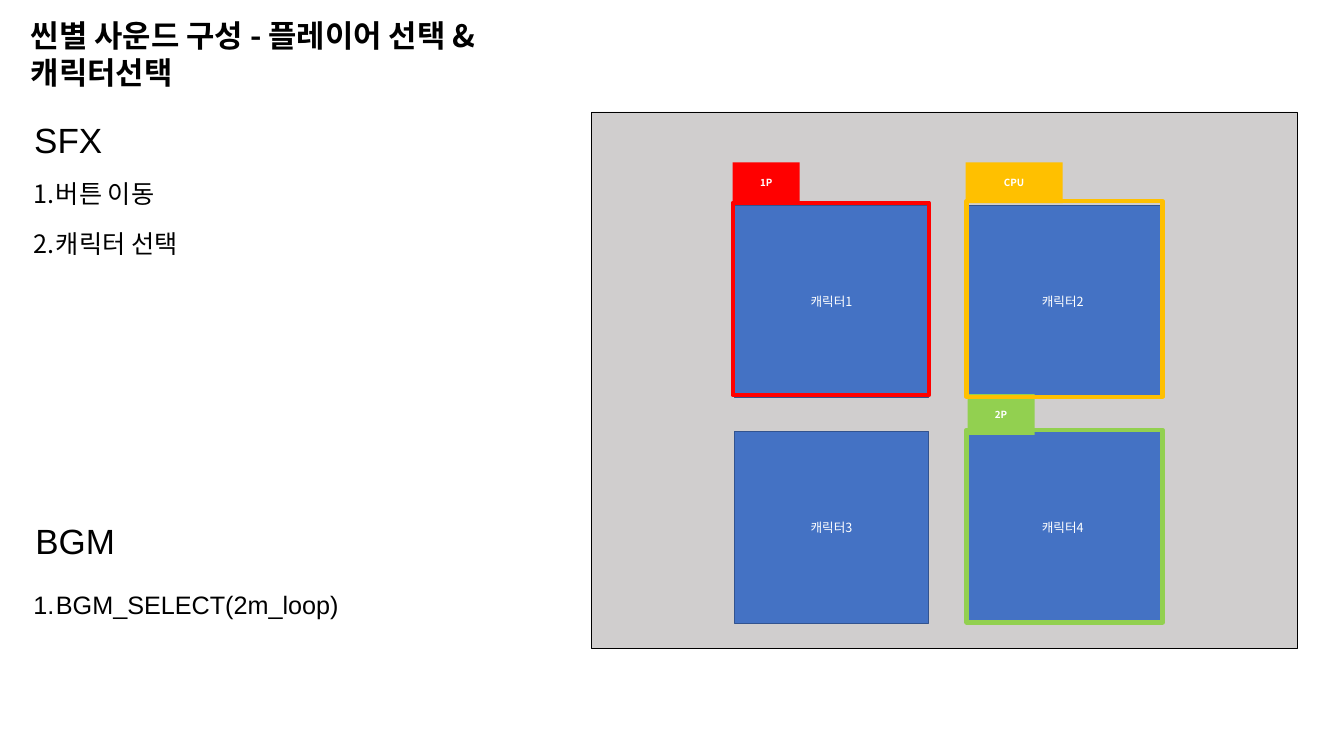
from itertools import product

from lxml.etree import SubElement
from pptx import Presentation
from pptx.dml.color import RGBColor
from pptx.enum.shapes import MSO_SHAPE as Shape
from pptx.enum.text import MSO_ANCHOR as Anchor, MSO_AUTO_SIZE as AutoSize, PP_ALIGN as Align
from pptx.oxml.ns import qn
from pptx.util import Inches, Pt

COLUMNS, ROWS = 26.67, 15
KOREAN, LATIN = "Noto Sans CJK KR", "Arial"
BLACK, WHITE, BLUE, NAVY, GREY = "000000", "FFFFFF", "4472C4", "32538F", "D0CECE"
RED, GREEN, AMBER = "FF0000", "92D050", "FFC000"


def color(value):
    """Turn a hex string into a colour."""
    return RGBColor.from_string(value)


def write(frame, lines, size, font=KOREAN, fill=BLACK, bold=False, align=Align.LEFT,
          anchor=Anchor.TOP, inset=0.06, spacing=None, numbered=False):
    """Fill a text frame with one formatted paragraph per line."""
    frame.word_wrap = True
    frame.vertical_anchor = anchor
    frame.margin_left = frame.margin_right = Inches(inset)
    frame.margin_top = frame.margin_bottom = Inches(inset)
    for index, line in enumerate(lines):
        paragraph = frame.add_paragraph() if index else frame.paragraphs[0]
        paragraph.alignment = align
        if spacing:
            paragraph.line_spacing = Pt(spacing)
        if numbered:
            properties = paragraph._p.get_or_add_pPr()
            properties.set("marL", str(Inches(0.45)))
            properties.set("indent", str(-Inches(0.45)))
            SubElement(properties, qn("a:buAutoNum"), type="arabicPeriod")
        run = paragraph.add_run()
        run.text = line
        run.font.size, run.font.bold, run.font.name = Pt(size), bold, font
        run.font.color.rgb = color(fill)
        SubElement(run._r.get_or_add_rPr(), qn("a:ea"), typeface=KOREAN)


class Board:
    """Draw styled elements on one slide, placed by columns and rows."""

    def __init__(self, presentation):
        """Add a blank slide and work out the grid cell."""
        self.slide = presentation.slides.add_slide(presentation.slide_layouts[6])
        self.cell = (presentation.slide_width / COLUMNS, presentation.slide_height / ROWS)

    def place(self, *box):
        """Turn columns and rows into slide lengths."""
        return [round(length * self.cell[index % 2]) for index, length in enumerate(box)]

    def text(self, box, *lines, **style):
        """Add a text box that grows with its lines."""
        frame = self.slide.shapes.add_textbox(*self.place(*box)).text_frame
        write(frame, lines, **style)
        frame.auto_size = AutoSize.SHAPE_TO_FIT_TEXT

    def heading(self, column, row, text):
        """Add a section heading."""
        self.text((column, row, 1.94, 0.9), text, size=50, font=LATIN, spacing=88)

    def numbers(self, row, width, height, *lines):
        """Add a numbered list."""
        self.text((0.6, row, width, height), *lines, size=36, font=LATIN, spacing=71,
                  numbered=True)

    def rectangle(self, box, fill=None, line=None, weight=1, label=None, size=18, bold=False):
        """Add a rectangle with an optional fill, outline and centred label."""
        shape = self.slide.shapes.add_shape(Shape.RECTANGLE, *self.place(*box))
        shape.shadow.inherit = False
        if fill:
            shape.fill.solid()
            shape.fill.fore_color.rgb = color(fill)
        else:
            shape.fill.background()
        if line:
            shape.line.color.rgb = color(line)
            shape.line.width = Pt(weight)
        else:
            shape.line.fill.background()
        if label:
            write(shape.text_frame, [label], size, fill=WHITE, bold=bold, inset=0.05,
                  align=Align.CENTER, anchor=Anchor.MIDDLE)

    def player(self, label, hue, frame, tab):
        """Add a selection frame and the tab that names its player."""
        self.rectangle(frame, line=hue, weight=6)
        self.rectangle(tab, fill=hue, label=label, size=14, bold=True)


def main():
    """Build the sound plan for the selection scene."""
    presentation = Presentation()
    presentation.slide_width, presentation.slide_height = Inches(COLUMNS), Inches(ROWS)
    board = Board(presentation)

    board.text((0.55, 0.28, 11.47, 0.89), "씬별 사운드 구성 - 플레이어 선택 & 캐릭터선택",
               size=44, bold=True)
    board.heading(0.62, 1.9, "SFX")
    board.numbers(3.09, 9.64, 1.35, "버튼 이동", "캐릭터 선택")
    board.heading(0.64, 9.86, "BGM")
    board.numbers(11.25, 8.18, 0.68, "BGM_SELECT(2m_loop)")

    board.rectangle((11.74, 2.22, 14, 10.65), fill=GREY, line=BLACK)
    for number, (row, column) in enumerate(product(range(2), repeat=2), 1):
        board.rectangle((14.57 + 4.59 * column, 4.08 + 4.48 * row, 3.86, 3.8),
                        fill=BLUE, line=NAVY, label=f"캐릭터{number}")

    board.player("1P", RED, (14.54, 4.02, 3.89, 3.82), (14.54, 3.22, 1.33, 0.81))
    board.player("2P", GREEN, (19.18, 8.53, 3.89, 3.82), (19.2, 7.82, 1.33, 0.81))
    board.player("CPU", AMBER, (19.18, 3.99, 3.89, 3.88), (19.16, 3.22, 1.93, 0.81))
    presentation.save("out.pptx")


if __name__ == "__main__":
    main()
